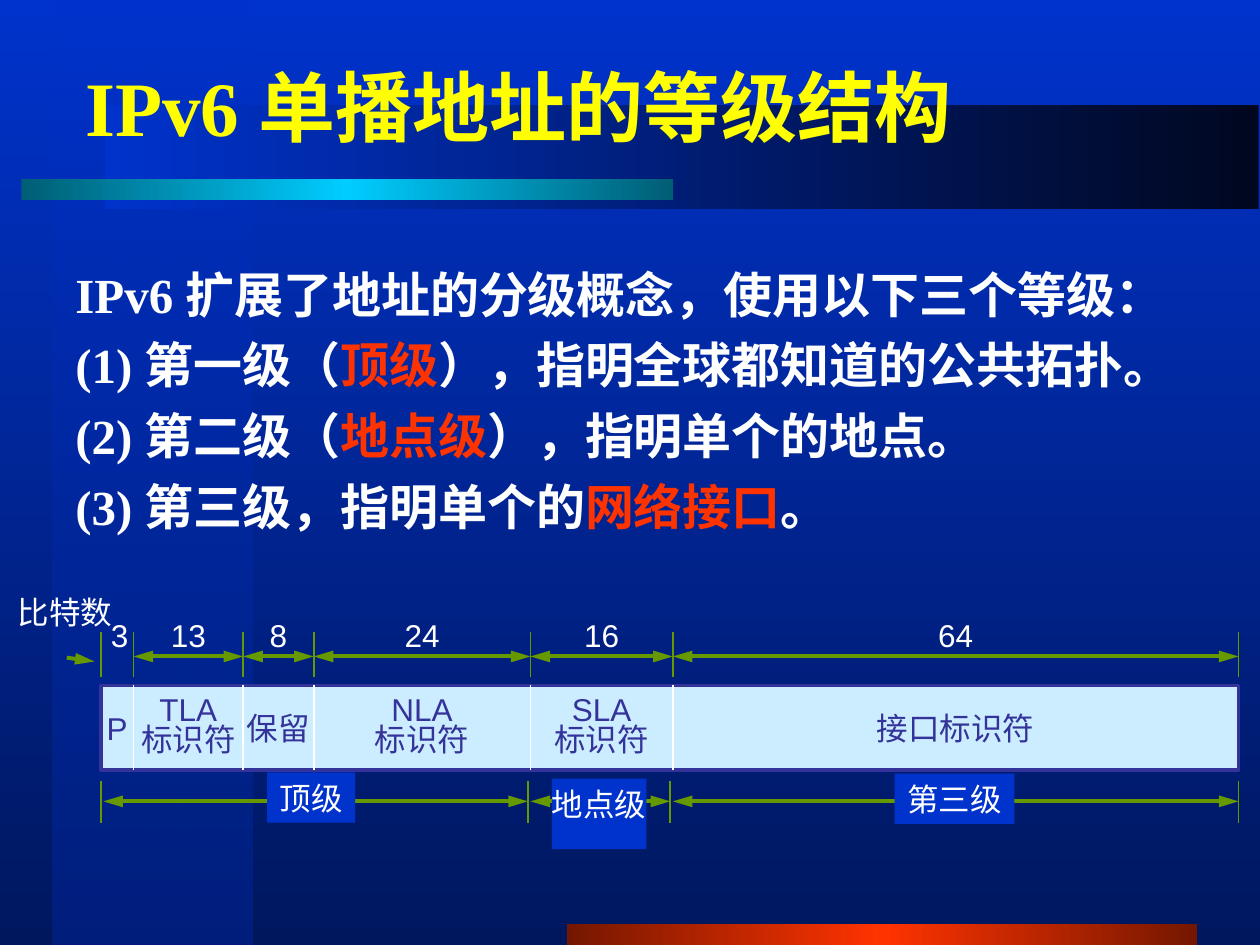
from itertools import pairwise

from lxml.etree import SubElement
from pptx import Presentation
from pptx.dml.color import RGBColor
from pptx.enum.shapes import MSO_CONNECTOR, MSO_SHAPE
from pptx.enum.text import MSO_ANCHOR, PP_ALIGN
from pptx.oxml.ns import qn
from pptx.util import Inches, Pt

WHITE, YELLOW, RED = "FFFFFF", "FFFF01", "FF3300"
BLUE, NAVY, GREEN, PALE = "0033CC", "333399", "669900", "CCECFF"


def rgb(color):
    return RGBColor.from_string(color)


def set_gradient(fill, element, stops, angle):
    fill.gradient()
    fill.gradient_angle = angle
    gs_list = element.xpath(".//a:gsLst")[0]
    for gs in list(gs_list):
        gs_list.remove(gs)
    for pos, color, alpha in stops:
        gs = SubElement(gs_list, qn("a:gs"), pos=str(pos * 1000))
        clr = SubElement(gs, qn("a:srgbClr"), val=color)
        if alpha < 100:
            SubElement(clr, qn("a:alpha"), val=str(alpha * 1000))


def add_rect(s, box, fill=None, line=None):
    sp = s.shapes.add_shape(MSO_SHAPE.RECTANGLE, *map(Inches, box))
    sp.shadow.inherit = False
    if fill:
        sp.fill.solid()
        sp.fill.fore_color.rgb = rgb(fill)
    if line:
        sp.line.color.rgb = rgb(line)
        sp.line.width = Pt(2)
    else:
        sp.line.fill.background()
    return sp


def add_line(s, start, end, color=GREEN, width=1, ends=()):
    cx = s.shapes.add_connector(MSO_CONNECTOR.STRAIGHT, *map(Inches, (*start, *end)))
    cx.line.color.rgb = rgb(color)
    cx.line.width = Pt(width)
    ln = cx.line._get_or_add_ln()
    for end_name in ends:
        SubElement(ln, qn(f"a:{end_name}"), type="triangle", w="med", len="lg")
    SubElement(cx._element.spPr, qn("a:effectLst"))


def add_arrow(s, start, end, ends=("headEnd", "tailEnd")):
    add_line(s, start, end, width=2.25, ends=ends)


def add_run(p, text, size, font, color, bold=False):
    r = p.add_run()
    r.text = text
    r.font.size = Pt(size)
    r.font.name = font
    r.font.bold = bold
    r.font.color.rgb = rgb(color)


def add_text(s, box, lines, color=WHITE, align=PP_ALIGN.CENTER, spacing=None):
    tf = s.shapes.add_textbox(*map(Inches, box)).text_frame
    tf.word_wrap = True
    tf.vertical_anchor = MSO_ANCHOR.MIDDLE
    tf.margin_left = tf.margin_right = 0
    for i, line in enumerate(lines):
        p = tf.add_paragraph() if i else tf.paragraphs[0]
        p.alignment = align
        if spacing:
            p.line_spacing = spacing
        add_run(p, line, 18, "Arial", color)
    return tf


def add_backdrop(s):
    set_gradient(s.background.fill, s.element, [(0, BLUE, 100), (100, "00175E", 100)], 270)
    bars = [
        ((0.42, 0, 1.58, 7.5), [(0, BLUE, 50), (100, "001F7D", 100)], 270),
        ((4.5, 7.33, 5, 0.17), [(0, "751700", 100), (50, RED, 100), (100, "751700", 100)], 180),
        ((0.83, 0.83, 9.16, 0.83), [(0, "00071F", 100), (100, BLUE, 100)], 180),
        ((0.17, 1.42, 5.17, 0.17), [(0, "005E75", 100), (50, "00CCFF", 100), (100, "005E75", 100)], 180),
    ]
    for box, stops, angle in bars:
        sp = add_rect(s, box)
        set_gradient(sp.fill, sp._element, stops, angle)


def add_title(s, box, text):
    tf = s.shapes.add_textbox(*map(Inches, box)).text_frame
    tf.word_wrap = True
    tf.vertical_anchor = MSO_ANCHOR.MIDDLE
    add_run(tf.paragraphs[0], text, 44, "Times New Roman", YELLOW, True)


def add_body(s, box, paragraphs):
    tf = s.shapes.add_textbox(*map(Inches, box)).text_frame
    tf.word_wrap = True
    for i, runs in enumerate(paragraphs):
        p = tf.add_paragraph() if i else tf.paragraphs[0]
        p.line_spacing = 1.1
        p.space_before = Pt(3.5 if i else 0)
        pPr = p._p.get_or_add_pPr()
        pPr.set("marL", str(Inches(0.38)))
        pPr.set("indent", str(-Inches(0.38)))
        for text, color in runs:
            add_run(p, text, 28, "Times New Roman", color, True)


def add_bit_counts(s, box, edges, counts):
    x, y, w, h = box
    left = x + 0.08
    tf = add_text(s, (left, y - 0.6, w - 0.08, 0.4), ["\t".join(counts)], align=PP_ALIGN.LEFT)
    tabs = SubElement(tf.paragraphs[0]._p.get_or_add_pPr(), qn("a:tabLst"))
    for a, b in list(pairwise(edges))[1:]:
        SubElement(tabs, qn("a:tab"), pos=str(Inches((a + b) / 2 - left)), algn="ctr")
        add_arrow(s, (a, y - 0.23), (b, y - 0.23))
    for edge in edges:
        add_line(s, (edge, y - 0.42), (edge, y - 0.07))
    add_text(s, (x - 0.76, y - 0.78, 0.95, 0.4), ["比特数"])
    add_arrow(s, (x - 0.27, y - 0.22), (x - 0.05, y - 0.19), ends=("tailEnd",))


def add_fields(s, box, edges, fields):
    x, y, w, h = box
    add_rect(s, box, PALE, NAVY)
    for edge in edges[1:-1]:
        add_line(s, (edge, y), (edge, y + h), WHITE)
    for (a, b), lines in zip(pairwise(edges), fields):
        spacing = 0.8 if len(lines) > 1 else None
        add_text(s, (a, y, b - a, h), lines, NAVY, spacing=spacing)


def add_levels(s, box, edges, levels):
    y = box[1] + box[3]
    for (a, b), (name, left, top, width, height) in zip(pairwise(edges), levels):
        add_arrow(s, (a + 0.02, y + 0.25), (b, y + 0.25))
        add_rect(s, (left, y + top, width, height), BLUE)
        add_text(s, (left - 0.15, y + top, width + 0.3, 0.4), [name])
    for edge in edges:
        add_line(s, (edge, y + 0.09), (edge, y + 0.42))


def add_address_diagram(s, box):
    x = box[0]
    edges = [x + d for d in (0, 0.26, 1.13, 1.69, 3.41, 4.54, 9.03)]
    add_fields(s, box, edges, [["P"], ["TLA", "标识符"], ["保留"], ["NLA", "标识符"],
                               ["SLA", "标识符"], ["接口标识符"]])
    add_bit_counts(s, box, edges, ["3", "13", "8", "24", "16", "64"])
    add_levels(s, box, [edges[0], edges[4] - 0.02, edges[5] - 0.02, edges[6]], [
        ("顶级", x + 1.32, 0.02, 0.7, 0.4),
        ("地点级", x + 3.58, 0.07, 0.75, 0.56),
        ("第三级", x + 6.3, 0.03, 0.95, 0.4),
    ])


def main():
    prs = Presentation()
    prs.slide_width, prs.slide_height = Inches(10), Inches(7.5)
    s = prs.slides.add_slide(prs.slide_layouts[6])
    add_backdrop(s)
    add_title(s, (0.58, 0.33, 8, 1.01), "IPv6 单播地址的等级结构")
    add_body(s, (0.5, 2, 9.25, 2.36), [
        [("IPv6 扩展了地址的分级概念，使用以下三个等级：", WHITE)],
        [("(1) 第一级（", WHITE), ("顶级", RED), ("），指明全球都知道的公共拓扑。", WHITE)],
        [("(2) 第二级（", WHITE), ("地点级", RED), ("），指明单个的地点。", WHITE)],
        [("(3) 第三级，指明单个的", WHITE), ("网络接口", RED), ("。", WHITE)],
    ])
    add_address_diagram(s, (0.8, 5.44, 9.03, 0.67))
    prs.save("out.pptx")


if __name__ == "__main__":
    main()
